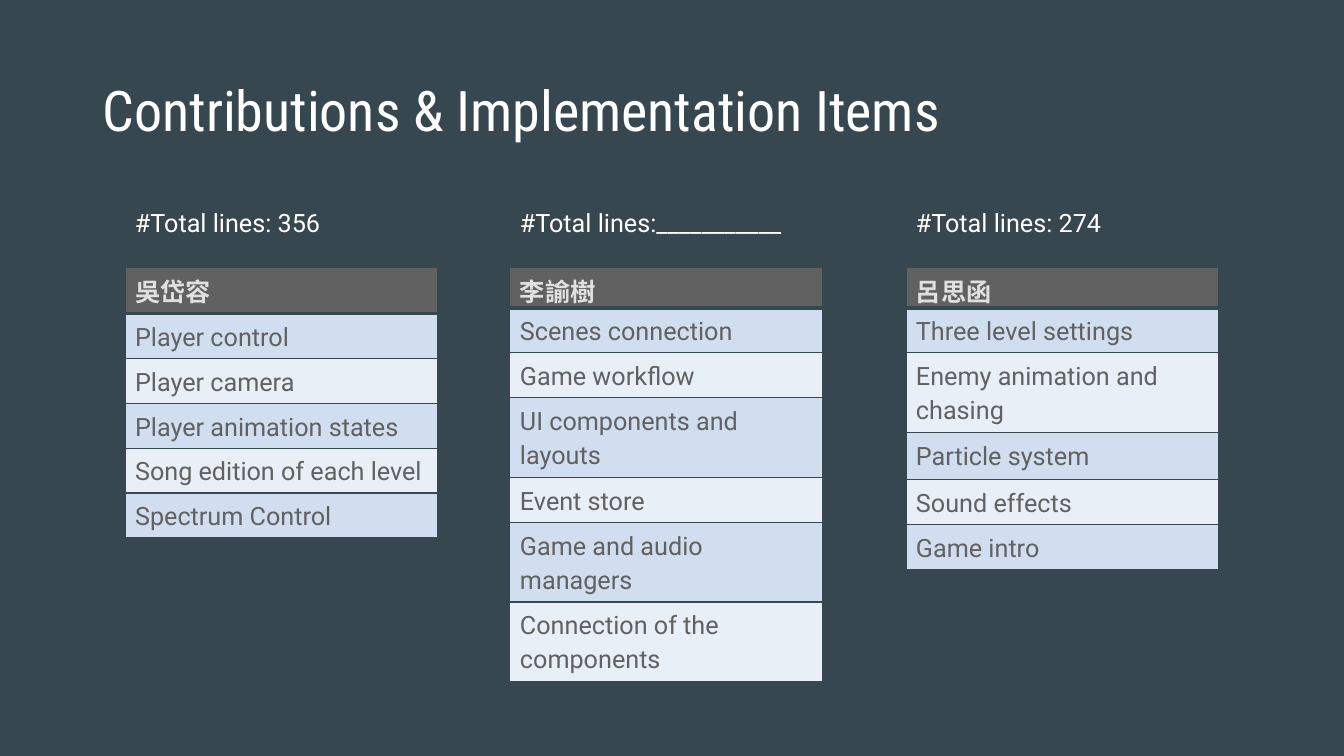
from lxml import etree
from pptx import Presentation
from pptx.dml.color import RGBColor
from pptx.enum.text import MSO_ANCHOR, MSO_AUTO_SIZE
from pptx.oxml.ns import qn
from pptx.util import Cm, Pt

MIDDLE = MSO_ANCHOR.MIDDLE
TOP = MSO_ANCHOR.TOP
GROW = MSO_AUTO_SIZE.SHAPE_TO_FIT_TEXT
FIXED = MSO_AUTO_SIZE.NONE

COLORS = {
    "background": "37474F",
    "white": "FFFFFF",
    "header_fill": "616161",
    "header_text": "E0E0E0",
    "item_text": "616161",
    "odd_row": "D0DEEF",
    "even_row": "E9EFF7",
}
TITLE = "Contributions & Implementation Items"
ONE_LINE, TALL_LINE, TWO_LINES = 1.13, 1.19, 2.01
MEMBERS = [
    {
        "left": 3.15,
        "total": "#Total lines: 356",
        "header": ("吳岱容", 1.17),
        "items": [
            ("Player control", 1.11),
            ("Player camera", 1.11),
            ("Player animation states", 1.11),
            ("Song edition of each level", 1.11),
            ("Spectrum Control", 1.11),
        ],
    },
    {
        "left": 12.85,
        "total": "#Total lines:___________",
        "header": ("李諭樹", 1.03),
        "items": [
            ("Scenes connection", ONE_LINE),
            ("Game workflow", ONE_LINE),
            ("UI components and layouts", TWO_LINES),
            ("Event store", ONE_LINE),
            ("Game and audio managers", TWO_LINES),
            ("Connection of the components", TWO_LINES),
        ],
    },
    {
        "left": 22.83,
        "total": "#Total lines: 274",
        "header": ("呂思函", 1.03),
        "items": [
            ("Three level settings", ONE_LINE),
            ("Enemy animation and chasing", TWO_LINES),
            ("Particle system", TALL_LINE),
            ("Sound effects", ONE_LINE),
            ("Game intro", ONE_LINE),
        ],
    },
]
TITLE_BOX = (2.34, 1.02, 29.21, 3.68)
TOTAL_TOP, TOTAL_WIDTH, TOTAL_HEIGHT = 5.11, 7.14, 1.02
TABLE_TOP, TABLE_WIDTH = 6.73, 7.87
THIN, THICK = 1, 3

TITLE_FONT = {"name": "Roboto Condensed", "size": Pt(40), "bold": False}
BODY_FONT = {"name": "Roboto", "size": Pt(18), "bold": False}
HEADER_FONT = {**BODY_FONT, "bold": True}


def write_text(text_frame, text, font_format, color, line_spacing=1.0):
    paragraph = text_frame.paragraphs[0]
    paragraph.line_spacing = line_spacing
    run = paragraph.add_run()
    run.text = text
    for name, value in font_format.items():
        setattr(run.font, name, value)
    run.font.color.rgb = RGBColor.from_string(COLORS[color])


def add_text(slide, box, text, font_format, anchor, auto_size, line_spacing=1.0):
    shape = slide.shapes.add_textbox(*[Cm(length) for length in box])
    frame_format = {"word_wrap": True, "auto_size": auto_size, "vertical_anchor": anchor}
    for name, value in frame_format.items():
        setattr(shape.text_frame, name, value)
    write_text(shape.text_frame, text, font_format, "white", line_spacing)


def set_borders(cell, top, bottom):
    properties = cell._tc.get_or_add_tcPr()
    widths = {"lnL": THIN, "lnR": THIN, "lnT": top, "lnB": bottom}
    for index, (tag, width) in enumerate(widths.items()):
        line = etree.Element(qn(f"a:{tag}"), w=str(Pt(width)))
        fill = etree.SubElement(line, qn("a:solidFill"))
        etree.SubElement(fill, qn("a:srgbClr"), val=COLORS["background"])
        properties.insert(index, line)


def add_member_table(slide, member):
    rows = [member["header"], *member["items"]]
    height = sum(row_height for _, row_height in rows)
    frame = slide.shapes.add_table(
        len(rows), 1, Cm(member["left"]), Cm(TABLE_TOP), Cm(TABLE_WIDTH), Cm(height)
    )
    table = frame.table
    for index, (text, row_height) in enumerate(rows):
        table.rows[index].height = Cm(row_height)
        cell = table.cell(index, 0)
        is_header = index == 0
        fill = "header_fill" if is_header else "odd_row" if index % 2 else "even_row"
        cell.fill.solid()
        cell.fill.fore_color.rgb = RGBColor.from_string(COLORS[fill])
        set_borders(cell, THICK if index == 1 else THIN, THICK if is_header else THIN)
        if is_header:
            write_text(cell.text_frame, text, HEADER_FONT, "header_text")
        else:
            write_text(cell.text_frame, text, BODY_FONT, "item_text", 1.15)


def main():
    presentation = Presentation()
    presentation.slide_width = Cm(33.87)
    presentation.slide_height = Cm(19.05)
    slide = presentation.slides.add_slide(presentation.slide_layouts[6])
    slide.background.fill.solid()
    slide.background.fill.fore_color.rgb = RGBColor.from_string(COLORS["background"])

    add_text(slide, TITLE_BOX, TITLE, TITLE_FONT, MIDDLE, FIXED, 0.9)
    for member in MEMBERS:
        total_box = (member["left"], TOTAL_TOP, TOTAL_WIDTH, TOTAL_HEIGHT)
        add_text(slide, total_box, member["total"], BODY_FONT, TOP, GROW)
        add_member_table(slide, member)
    presentation.save("out.pptx")


if __name__ == "__main__":
    main()
